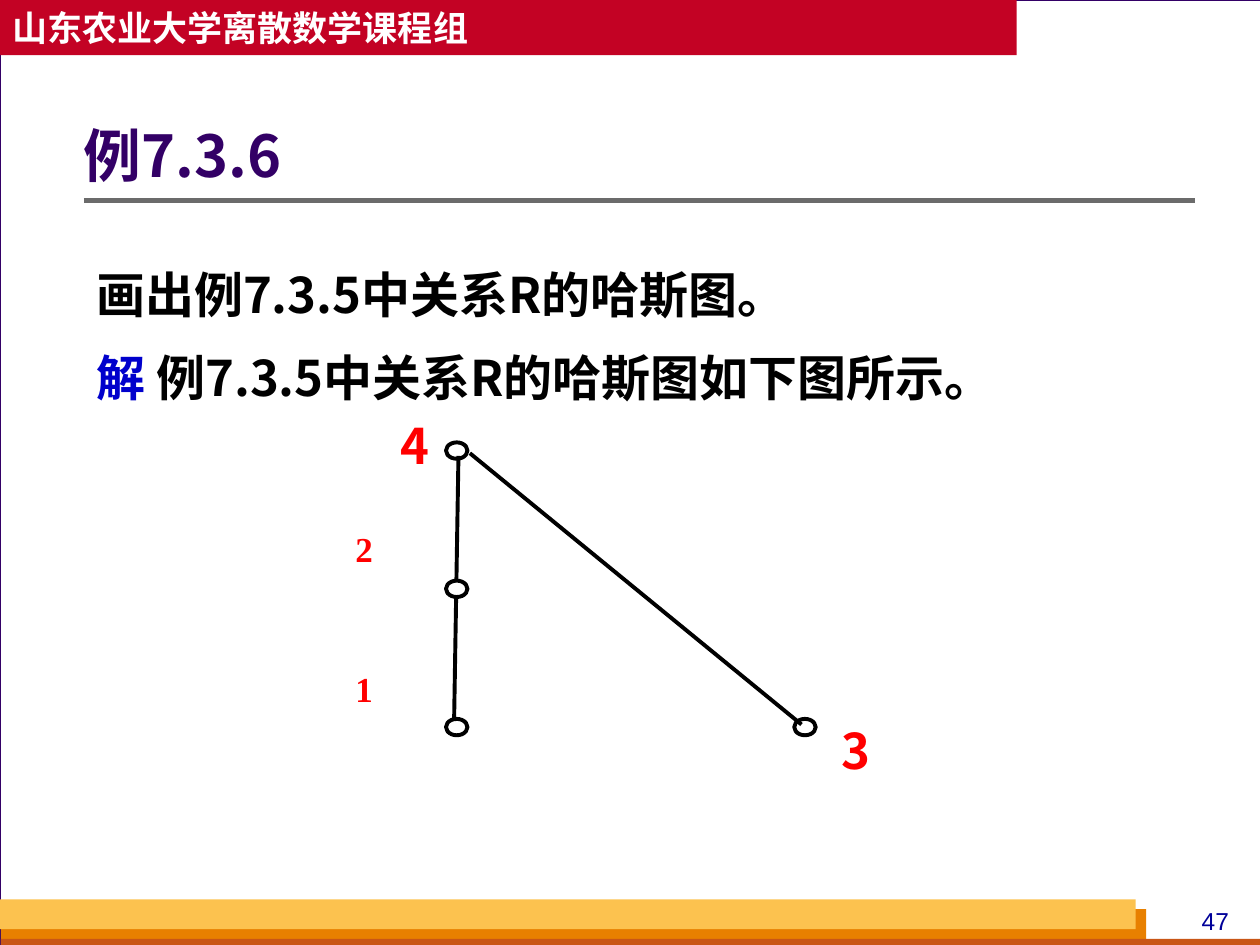
from dataclasses import dataclass
from typing import Optional

import pptx
import pptx.dml.color
import pptx.enum.shapes
import pptx.enum.text
import pptx.oxml.ns
import pptx.util
from lxml import etree

Pt = pptx.util.Pt
SHAPE = pptx.enum.shapes.MSO_SHAPE
ALIGN = pptx.enum.text.PP_ALIGN
ANCHOR = pptx.enum.text.MSO_ANCHOR
SANS, SERIF = "Noto Sans CJK SC", "Times New Roman"
NODE_W, NODE_H = 12.24, 9.36


@dataclass
class Bar:
    x: float
    y: float
    w: float
    h: float
    fill: str
    line: Optional[str] = None


@dataclass
class Node:
    cx: float
    cy: float
    fill: Optional[str] = None


@dataclass
class Label:
    text: str
    x: float
    y: float
    w: float
    h: float
    size: float
    font: str
    align: ALIGN = ALIGN.LEFT


@dataclass
class Edge:
    x1: float
    y1: float
    x2: float
    y2: float


def paint(fmt, color: Optional[str]) -> None:
    """Give a fill or a font one solid colour, or clear a fill."""
    if color is None:
        fmt.background()
        return
    if hasattr(fmt, "solid"):
        fmt.solid()
        fmt = fmt.fore_color
    else:
        fmt = fmt.color
    fmt.rgb = pptx.dml.color.RGBColor.from_string(color)


def add_shape(s, kind, x, y, w, h, fill, line=None, weight=0.75):
    sp = s.shapes.add_shape(kind, Pt(x), Pt(y), Pt(w), Pt(h))
    sp.shadow.inherit = False
    paint(sp.fill, fill)
    paint(sp.line.fill, line)
    if line:
        sp.line.width = Pt(weight)
    return sp


def add_line(s, e: Edge, color: str, weight: float) -> None:
    cx = s.shapes.add_connector(pptx.enum.shapes.MSO_CONNECTOR.STRAIGHT,
                                Pt(e.x1), Pt(e.y1), Pt(e.x2), Pt(e.y2))
    paint(cx.line.fill, color)
    cx.line.width = Pt(weight)
    etree.SubElement(cx.element.spPr, pptx.oxml.ns.qn("a:effectLst"))


def write(sp, paragraphs, *, size, font=SANS, bold=True, align=ALIGN.LEFT,
          anchor=ANCHOR.TOP, left=7.2, wrap=True, spacing=None, before=0):
    """Fill a shape with paragraphs, each a list of (text, colour) runs."""
    tf = sp.text_frame
    tf.word_wrap = wrap
    tf.vertical_anchor = anchor
    tf.margin_left = Pt(left)
    for i, runs in enumerate(paragraphs):
        p = tf.add_paragraph() if i else tf.paragraphs[0]
        p.alignment = align
        if spacing:
            p.line_spacing = spacing
        if i:
            p.space_before = Pt(before)
        for text, color in runs:
            r = p.add_run()
            r.text = text
            r.font.size, r.font.bold, r.font.name = Pt(size), bold, font
            paint(r.font, color)
            ea = etree.SubElement(r.font._element, pptx.oxml.ns.qn("a:ea"))
            ea.set("typeface", font)


def add_text(s, x, y, w, h, paragraphs, **fmt) -> None:
    sp = s.shapes.add_textbox(Pt(x), Pt(y), Pt(w), Pt(h))
    write(sp, paragraphs, **fmt)


def draw_bar(s, b: Bar):
    return add_shape(s, SHAPE.RECTANGLE, b.x, b.y, b.w, b.h, b.fill, b.line)


def draw_node(s, n: Node) -> None:
    add_shape(s, SHAPE.OVAL, n.cx - NODE_W / 2, n.cy - NODE_H / 2,
              NODE_W, NODE_H, n.fill, "000000", 2.25)


def draw_label(s, b: Label) -> None:
    add_text(s, b.x, b.y, b.w, b.h, [[(b.text, "FF0000")]],
             size=b.size, font=b.font, align=b.align)


def main() -> None:
    prs = pptx.Presentation()
    prs.slide_width, prs.slide_height = Pt(720), Pt(540)
    s = prs.slides.add_slide(prs.slide_layouts[6])
    paint(s.background.fill, "D8DADA")

    # Page frame, footer bars and page number
    for bar in (Bar(0, 0, 720.5, 540, "FFFFFF", "330066"),
                Bar(0.5, 519.5, 654.5, 20.5, "E88000"),
                Bar(0.5, 536.5, 720, 5.5, "C95616"),
                Bar(0, 514, 649, 17, "FCC24F")):
        draw_bar(s, bar)
    add_text(s, 672, 514, 45, 24.5, [[("47", "000099")]],
             size=14, font="Arial", bold=False, align=ALIGN.CENTER)

    # Header band, title and its rule
    add_line(s, Edge(48, 114.5, 683, 114.5), "6B6B6B", 3)
    header = draw_bar(s, Bar(0, 0, 581, 31.5, "C30224"))
    write(header, [[("山东农业大学离散数学课程组", "FFFFFF")]],
          size=20, anchor=ANCHOR.MIDDLE, wrap=False)
    add_text(s, 48, 54.5, 635, 73, [[("例7.3.6", "330066")]],
             size=33, anchor=ANCHOR.MIDDLE, left=0, spacing=0.9)

    # Problem and solution
    add_text(s, 48, 141, 635, 361.5,
             [[("画出例7.3.5中关系R的哈斯图。", "000000")],
              [("解", "0000CC"),
               (" 例7.3.5中关系R的哈斯图如下图所示。", "000000")]],
             size=28, spacing=1.2, before=7)

    # Hasse diagram: edges, then nodes, then labels
    for edge in (Edge(268.5, 259, 458, 414), Edge(262, 260.5, 259.5, 412)):
        add_line(s, edge, "000000", 2.25)
    x, top, step = 261, 257.5, 79
    for node in (Node(x, top), Node(x, top + step, "FFFFFF"),
                 Node(x, top + 2 * step), Node(460, top + 2 * step)):
        draw_node(s, node)
    for label in (Label("1", 196, 378, 79, 78.5, 20, SERIF, ALIGN.JUSTIFY),
                  Label("2", 196, 298, 79, 78.5, 20, SERIF, ALIGN.JUSTIFY),
                  Label("4", 222, 234, 36, 41, 28, SANS),
                  Label("3", 474, 408, 30, 41, 28, SANS)):
        draw_label(s, label)

    prs.save("out.pptx")


if __name__ == "__main__":
    main()
